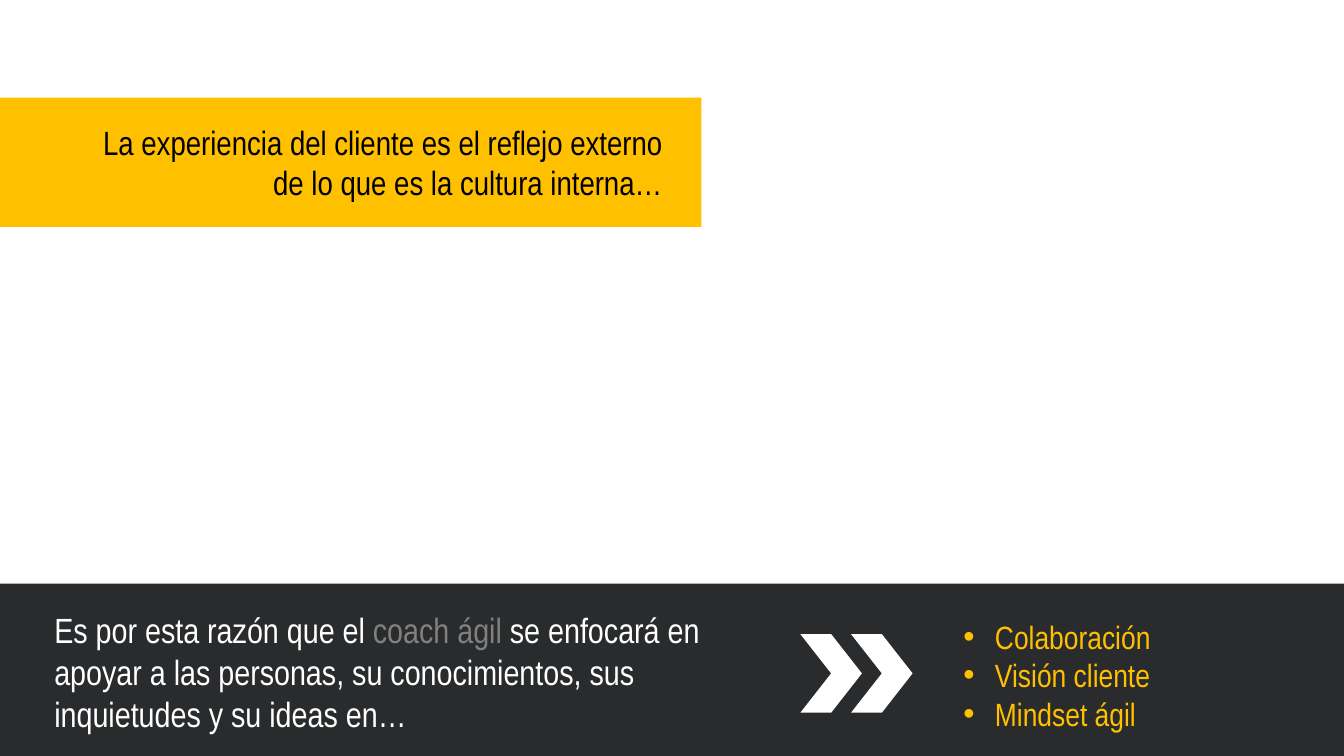
from lxml import etree
from pptx import Presentation
from pptx.dml.color import RGBColor
from pptx.enum import shapes, text
from pptx.oxml.ns import qn
from pptx.util import Pt

FONT = "Arial Narrow"
WHITE, BLACK, GREY, DARK, AMBER = "FFFFFF", "000000", "808080", "141719", "FFC000"


def color(value):
    return RGBColor.from_string(value)


def place(sp, left, top, width, height):
    sp.left, sp.top, sp.width, sp.height = Pt(left), Pt(top), Pt(width), Pt(height)


def add_filled(s, kind, box, fill):
    sp = s.shapes.add_shape(kind, *map(Pt, box))
    sp.shadow.inherit = False
    sp.fill.solid()
    sp.fill.fore_color.rgb = color(fill)
    sp.line.fill.background()
    return sp


def add_text(s, box):
    tf = s.shapes.add_textbox(*map(Pt, box)).text_frame
    tf.word_wrap = True
    return tf


def add_run(p, words, size, fill):
    r = p.add_run()
    r.text = words
    r.font.name = FONT
    r.font.size = Pt(size)
    r.font.color.rgb = color(fill)


def add_bullet(p, indent):
    pPr = p._p.get_or_add_pPr()
    pPr.set("marL", str(Pt(indent)))
    pPr.set("indent", str(-Pt(indent)))
    etree.SubElement(pPr, qn("a:buFont")).set("typeface", "Arial")
    etree.SubElement(pPr, qn("a:buChar")).set("char", "•")


def headline(s, left, top, width, height):
    sp = s.shapes.title
    place(sp, left, top, width, height)
    sp.fill.solid()
    sp.fill.fore_color.rgb = color(AMBER)
    tf = sp.text_frame
    tf.word_wrap = True
    tf.auto_size = text.MSO_AUTO_SIZE.NONE
    tf.vertical_anchor = text.MSO_ANCHOR.MIDDLE
    tf.margin_left, tf.margin_right = Pt(54), Pt(28)
    tf.margin_top = tf.margin_bottom = Pt(17.3)
    p = tf.paragraphs[0]
    p.alignment = text.PP_ALIGN.RIGHT
    add_run(p, "La experiencia del cliente es el reflejo externo "
               "de lo que es la cultura interna…", 24, BLACK)


def reason(s, left, top, width, height):
    p = add_text(s, (left, top, width, height)).paragraphs[0]
    for words, fill in [
        ("Es por esta razón que el ", WHITE),
        ("coach ágil ", GREY),
        ("se enfocará en apoyar a las personas, su conocimientos, "
         "sus inquietudes y su ideas en…", WHITE),
    ]:
        add_run(p, words, 25, fill)


def chevrons(s, left, top, width, height):
    for i in range(2):
        add_filled(s, shapes.MSO_SHAPE.CHEVRON,
                   (left + 36.2 * i, top, width, height), WHITE)


def goals(s, left, top, width, height):
    tf = add_text(s, (left, top, width, height))
    for i, words in enumerate(["Colaboración", "Visión cliente", "Mindset ágil"]):
        p = tf.add_paragraph() if i else tf.paragraphs[0]
        add_bullet(p, 22.5)
        add_run(p, words, 23, AMBER)


def footer_band(s, left, top, width, height):
    band = add_filled(s, shapes.MSO_SHAPE.RECTANGLE, (left, top, width, height), DARK)
    srgb = band.fill._xPr.find(".//" + qn("a:srgbClr"))
    etree.SubElement(srgb, qn("a:alpha")).set("val", "91000")
    reason(s, left + 31.7, top + 14.4, 503.3, 98)
    chevrons(s, left + 571.7, top + 36, 44, 56.2)
    goals(s, left + 681.1, top + 20.2, 206, 90.7)


def main():
    prs = Presentation()
    prs.slide_width, prs.slide_height = Pt(960), Pt(540)
    s = prs.slides.add_slide(prs.slide_layouts[5])
    headline(s, 0, 69.8, 501, 92.2)
    footer_band(s, 0, 416.9, 960, 128.2)
    prs.save("out.pptx")


if __name__ == "__main__":
    main()
